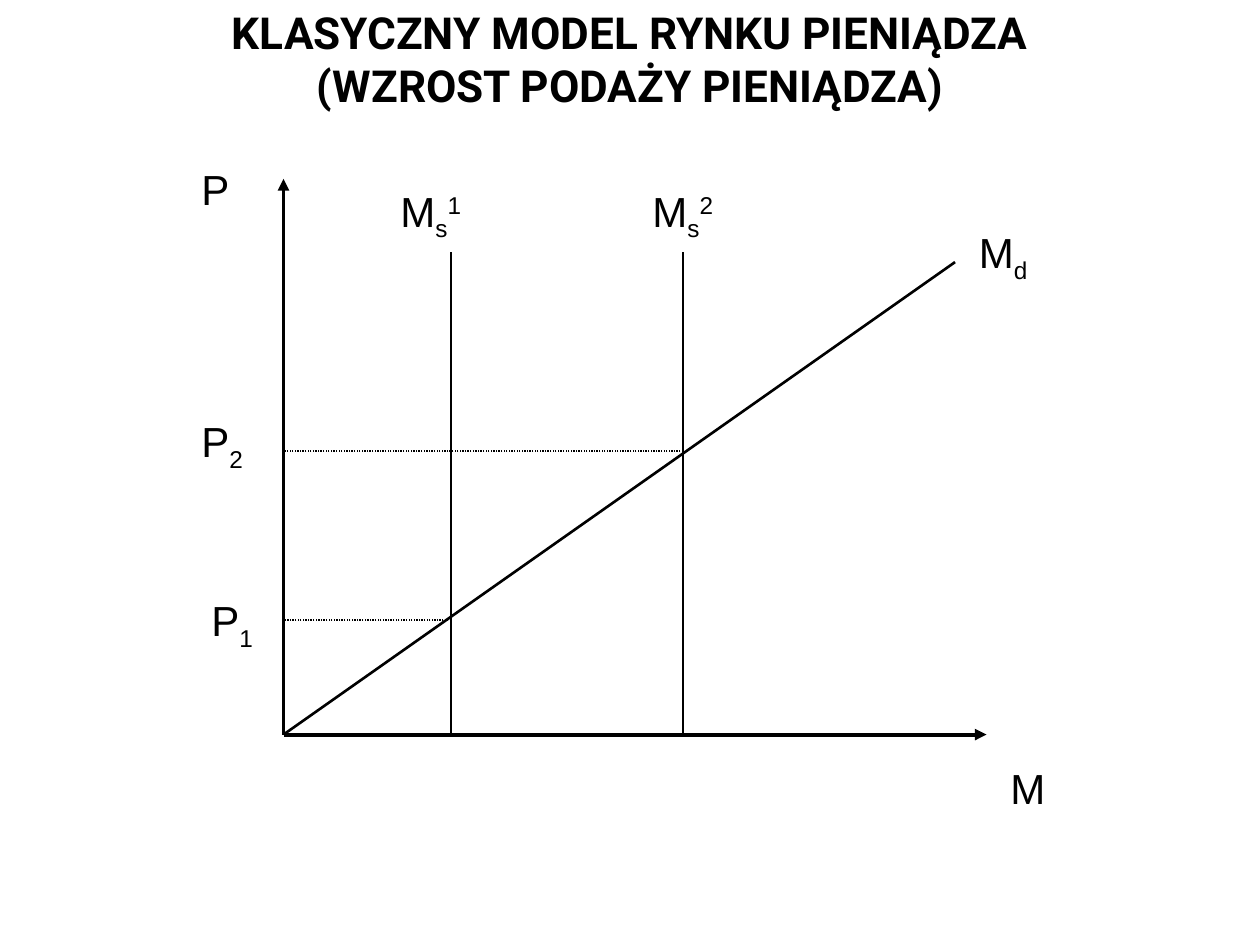
"""Builds a slide showing the classical money market model."""
from dataclasses import dataclass

from lxml import etree
from pptx import Presentation
from pptx.dml.color import RGBColor
from pptx.enum.dml import MSO_LINE
from pptx.enum.shapes import MSO_CONNECTOR
from pptx.enum.text import MSO_ANCHOR, MSO_AUTO_SIZE, PP_ALIGN
from pptx.oxml.ns import qn
from pptx.util import Inches, Pt

STRAIGHT = MSO_CONNECTOR.STRAIGHT
DOTTED = MSO_LINE.ROUND_DOT
MIDDLE = MSO_ANCHOR.MIDDLE
CENTER = PP_ALIGN.CENTER
NO_AUTOFIT = MSO_AUTO_SIZE.NONE
GROW = MSO_AUTO_SIZE.SHAPE_TO_FIT_TEXT

BLACK = "000000"
ORIGIN_X, ORIGIN_Y = 2.25, 5.83
SUPPLY_TOP = 2
SUPPLY_1, SUPPLY_2 = 3.58, 5.42
PRICE_1, PRICE_2 = 4.92, 3.58
SUBSCRIPT, SUPERSCRIPT = -25000, 30000


@dataclass
class Line:
    start: tuple[float, float]
    end: tuple[float, float]
    width: float
    arrow: bool = False
    dotted: bool = False


@dataclass
class Label:
    left: float
    top: float
    width: float
    base: str
    lower: str = ""
    upper: str = ""


ORIGIN = (ORIGIN_X, ORIGIN_Y)
LINES = [
    Line(ORIGIN, (ORIGIN_X, 1.42), 2.25, arrow=True),
    Line(ORIGIN, (7.83, ORIGIN_Y), 2.25, arrow=True),
    Line(ORIGIN, (7.58, 2.08), 1.5),
    *(Line((x, SUPPLY_TOP), (x, ORIGIN_Y), 1.5) for x in (SUPPLY_1, SUPPLY_2)),
    *(Line((x, y), (ORIGIN_X, y), 0.75, dotted=True)
      for x, y in ((SUPPLY_1, PRICE_1), (SUPPLY_2, PRICE_2))),
]
LABELS = [
    Label(1.5, 1.25, 0.58, "P"),
    Label(7.92, 6, 0.67, "M"),
    Label(3.08, 1.42, 0.83, "M", "s", "1"),
    Label(5.08, 1.42, 0.83, "M", "s", "2"),
    Label(7.67, 1.75, 0.67, "M", "d"),
    Label(1.58, 4.67, 0.58, "P", "1"),
    Label(1.5, 3.25, 0.67, "P", "2"),
]


def color(value: str) -> RGBColor:
    return RGBColor.from_string(value)


def style_font(font, name: str, size: float, bold: bool = False) -> None:
    font.name = name
    font.size = Pt(size)
    font.bold = bold
    font.color.rgb = color(BLACK)


def draw_title(page, text: str) -> None:
    title = page.shapes.title
    title.left, title.top = Inches(0.75), Inches(0)
    title.width, title.height = Inches(8.5), Inches(0.92)
    frame = title.text_frame
    frame.auto_size = NO_AUTOFIT
    frame.vertical_anchor = MIDDLE
    para = frame.paragraphs[0]
    para.text = text
    para.alignment = CENTER
    for span in para.runs:
        style_font(span.font, "Roboto", 25.2, bold=True)


def draw_line(page, line: Line) -> None:
    points = [Inches(value) for value in (*line.start, *line.end)]
    connector = page.shapes.add_connector(STRAIGHT, *points)
    connector.line.color.rgb = color(BLACK)
    connector.line.width = Pt(line.width)
    if line.dotted:
        connector.line.dash_style = DOTTED
    if line.arrow:
        outline = connector.line._get_or_add_ln()
        etree.SubElement(outline, qn("a:tailEnd"), type="triangle")
    etree.SubElement(connector._element.spPr, qn("a:effectLst"))


def draw_label(page, label: Label) -> None:
    box = page.shapes.add_textbox(Inches(label.left), Inches(label.top),
                                  Inches(label.width), Inches(0.5))
    frame = box.text_frame
    frame.word_wrap = True
    frame.auto_size = GROW
    para = frame.paragraphs[0]
    parts = ((label.base, 0), (label.lower, SUBSCRIPT), (label.upper, SUPERSCRIPT))
    for text, baseline in parts:
        if text:
            span = para.add_run()
            span.text = text
            style_font(span.font, "Arial", 24)
            if baseline:
                span._r.get_or_add_rPr().set("baseline", str(baseline))


def main() -> None:
    deck = Presentation()
    deck.slide_width, deck.slide_height = Inches(10), Inches(7.5)
    page = deck.slides.add_slide(deck.slide_layouts.get_by_name("Title Only"))
    draw_title(page, "KLASYCZNY MODEL RYNKU PIENIĄDZA\n(WZROST PODAŻY PIENIĄDZA)")
    for line in LINES:
        draw_line(page, line)
    for label in LABELS:
        draw_label(page, label)
    deck.save("out.pptx")


if __name__ == "__main__":
    main()
